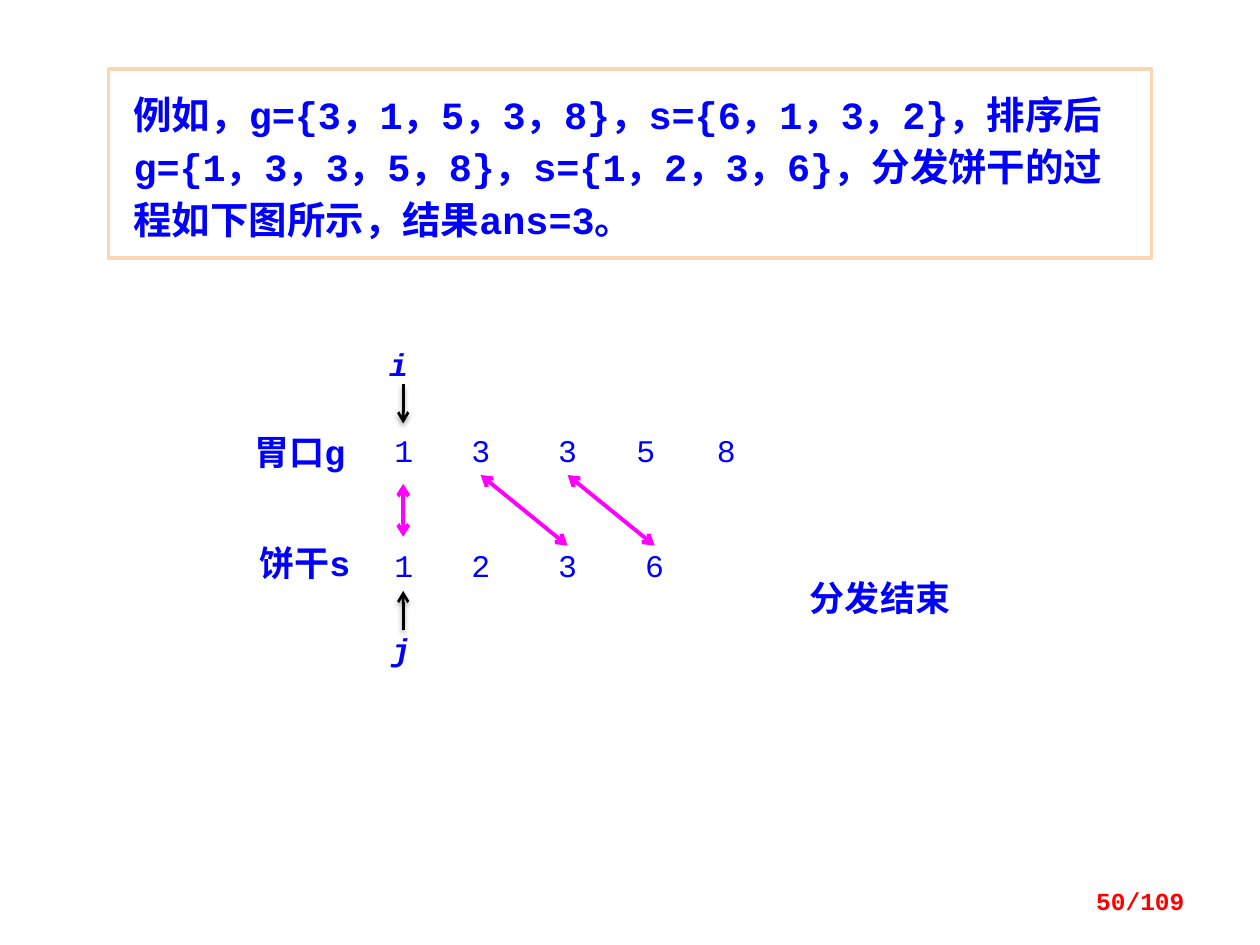
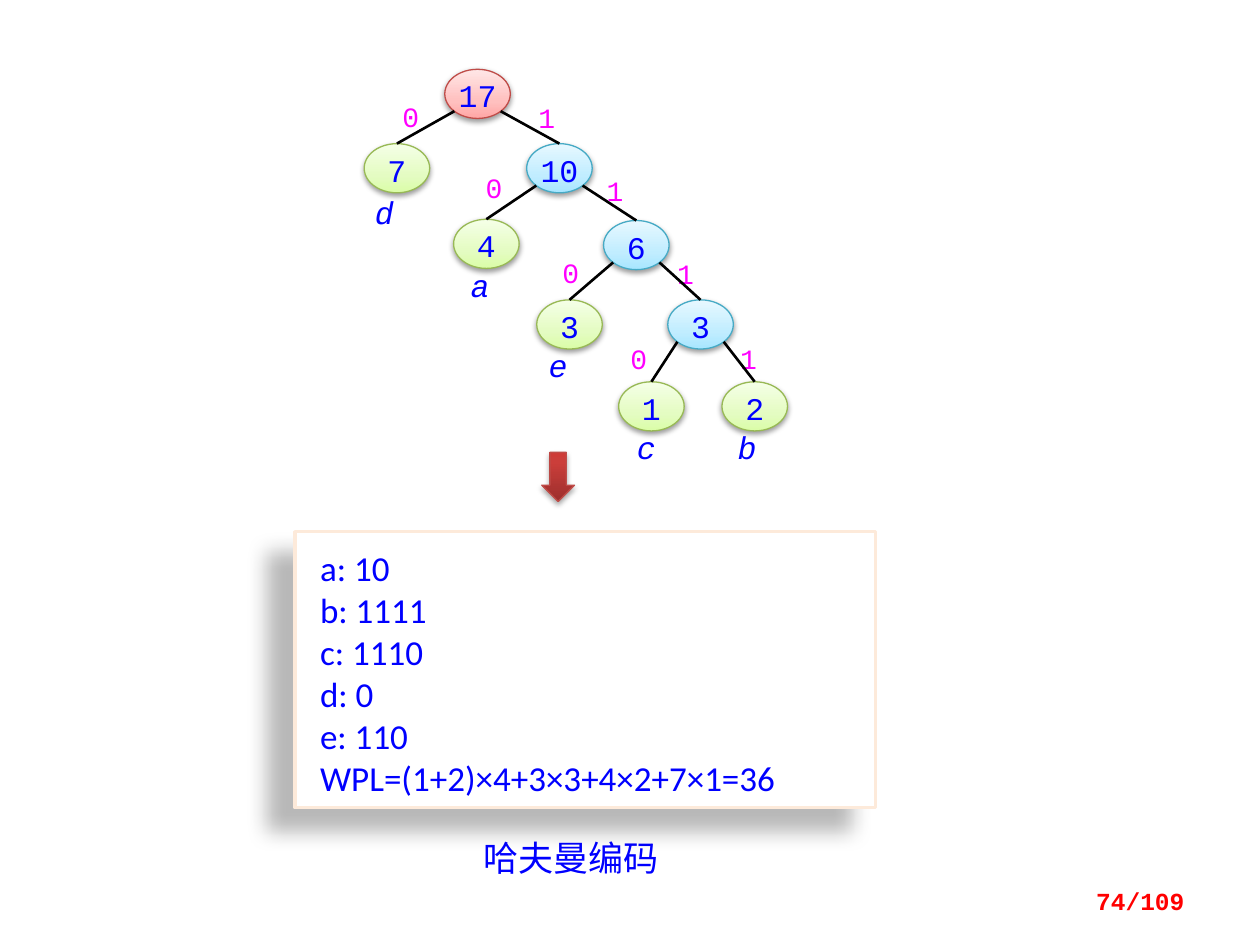
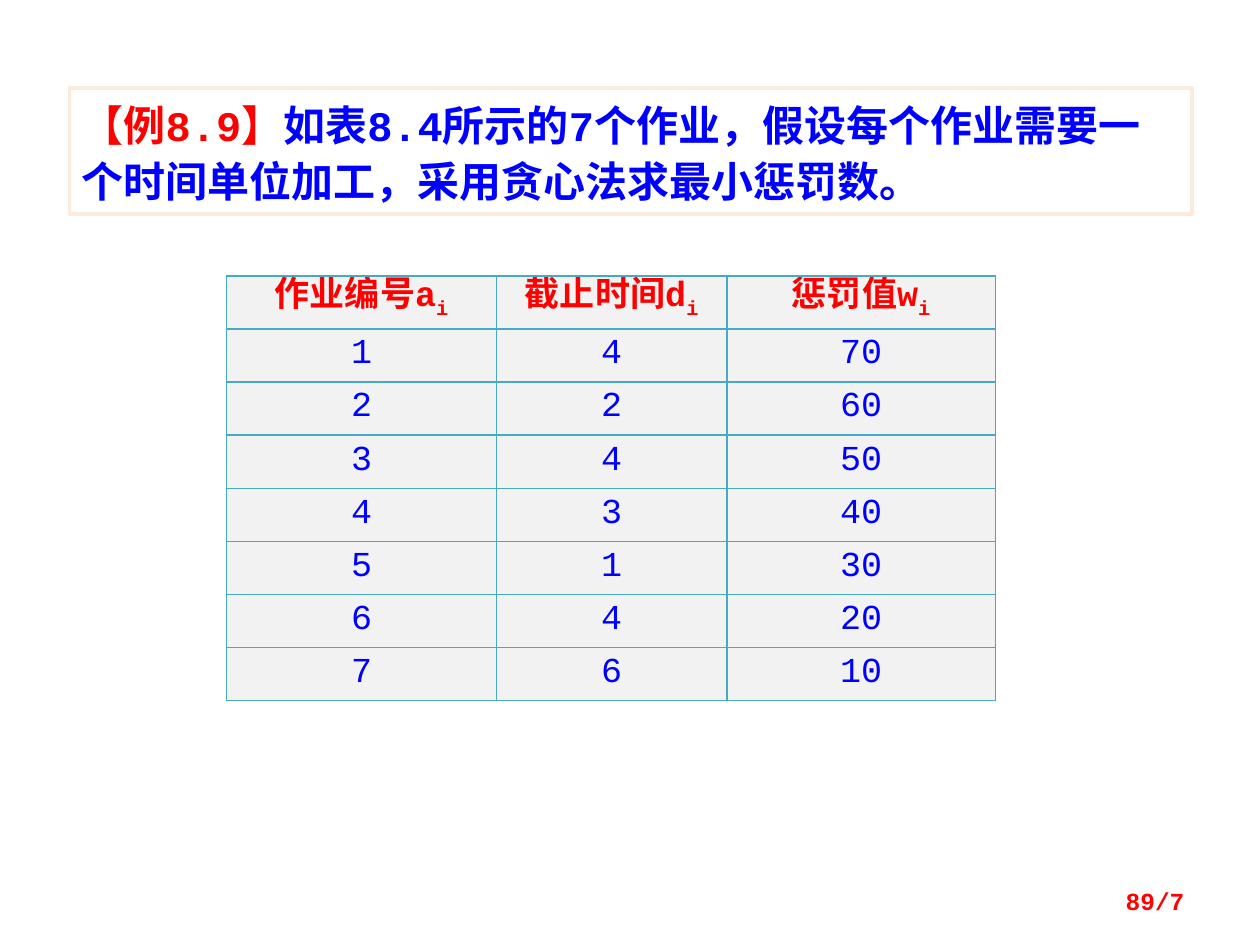
from dataclasses import dataclass
from math import sqrt
from typing import NamedTuple

from lxml.etree import SubElement
from pptx import Presentation
from pptx.dml.color import RGBColor
from pptx.enum.shapes import MSO_CONNECTOR, MSO_SHAPE
from pptx.enum.text import MSO_ANCHOR, PP_ALIGN
from pptx.oxml.ns import qn
from pptx.util import Inches, Pt


@dataclass(frozen=True)
class Theme:
    blue: str = "0000FF"
    red: str = "FF0000"
    magenta: str = "FF00FF"
    black: str = "000000"
    white: str = "FFFFFF"
    peach: str = "FCD5B5"
    pale_peach: str = "FDEADA"
    grid: str = "46AAC5"
    cell: str = "F2F2F2"
    mono: str = "Courier New"
    cjk: str = "Noto Sans CJK SC"
    sans: str = "Calibri"
    serif: str = "Times New Roman"
    footer_size: int = 14
    bit_size: int = 16
    value_size: int = 18
    body_size: int = 20
    example_size: int = 22
    problem_size: int = 24


class Tint(NamedTuple):
    stops: tuple
    line: str


class Node(NamedTuple):
    at: tuple
    weight: str
    tint: Tint
    parent: str = ""
    bit: str = ""
    bit_at: tuple = ()
    symbol_at: tuple = ()


THEME = Theme()
VALUE = {"size": THEME.value_size, "name": THEME.mono, "color": THEME.blue, "bold": False}
POINTER = VALUE | {"bold": True, "italic": True}
SYMBOL = VALUE | {"italic": True}
BIT = VALUE | {"size": THEME.bit_size, "color": THEME.magenta}
ROW_NAME = VALUE | {"size": THEME.body_size, "bold": True}
EXAMPLE = ROW_NAME | {"size": THEME.example_size}
PROBLEM = ROW_NAME | {"size": THEME.problem_size}
CELL = VALUE | {"size": THEME.body_size}
FOOTER = VALUE | {"size": THEME.footer_size, "color": THEME.red, "bold": True}

LEAF = Tint(((0, "DAFDA7"), (35, "E4FCC2"), (100, "F5FFE7")), "98B955")
INNER = Tint(((0, "A7E6FF"), (35, "C1EDFF"), (100, "E7F8FF")), "46AAC5")
ROOT = Tint(((0, "FFA6A5"), (35, "FFC0BF"), (100, "FFE7E7")), "BF4C48")
STEP = Tint(((0, "9C2F2D"), (80, "CB3E3A"), (100, "CE3B37")), "BF4C48")

SOFT_SHADOW = (38, 3.1, 1.6, 90)
STEP_SHADOW = (35, 3.1, 1.8, 90)
PANEL_SHADOW = (28, 11.8, 19.7, 141)
NODE_SIZE = (0.52, 0.39)

HUFFMAN = {
    "root": Node((3.53, 0.55), "17", ROOT),
    "d": Node((2.89, 1.14), "7", LEAF, "root", "0", (3.15, 0.79), (2.95, 1.53)),
    "ten": Node((4.18, 1.14), "10", INNER, "root", "1", (4.23, 0.8)),
    "a": Node((3.6, 1.74), "4", LEAF, "ten", "0", (3.81, 1.35), (3.71, 2.11)),
    "six": Node((4.79, 1.75), "6", INNER, "ten", "1", (4.77, 1.38)),
    "e": Node((4.26, 2.38), "3", LEAF, "six", "0", (4.42, 2.03), (4.33, 2.75)),
    "three": Node((5.3, 2.38), "3", INNER, "six", "1", (5.33, 2.04)),
    "c": Node((4.91, 3.03), "1", LEAF, "three", "0", (4.96, 2.71), (5.03, 3.4)),
    "b": Node((5.73, 3.03), "2", LEAF, "three", "1", (5.83, 2.71), (5.83, 3.4)),
}

JOBS = [(1, 4, 70), (2, 2, 60), (3, 4, 50), (4, 3, 40), (5, 1, 30), (6, 4, 20), (7, 6, 10)]


def apply(target, values):
    for name, value in values.items():
        setattr(target, name, value)


def write(frame, paragraphs, style, insets=(0.1, 0.05, 0.1, 0.05),
          align=PP_ALIGN.LEFT, spacing=None, anchor=MSO_ANCHOR.TOP):
    sides = ("margin_left", "margin_top", "margin_right", "margin_bottom")
    apply(frame, dict(zip(sides, map(Inches, insets))))
    apply(frame, {"word_wrap": True, "vertical_anchor": anchor})
    for index, runs in enumerate(paragraphs):
        paragraph = frame.add_paragraph() if index else frame.paragraphs[0]
        paragraph.alignment = align
        if spacing:
            paragraph.line_spacing = Pt(spacing)
        for text, changes in runs:
            add_run(paragraph, text, style | changes)


def add_run(paragraph, text, style):
    run = paragraph.add_run()
    run.text = text
    values = dict(style)
    run.font.color.rgb = RGBColor.from_string(values.pop("color"))
    baseline = values.pop("baseline", 0)
    values["size"] = Pt(values["size"])
    apply(run.font, values)
    properties = run.font._element
    SubElement(properties, qn("a:ea"), typeface=THEME.cjk)
    if baseline:
        properties.set("baseline", str(baseline * 1000))


def plain(text):
    return [[(text, {})]]


def add_effects(shape, shadow=None):
    properties = shape._element.spPr
    effects = SubElement(properties, qn("a:effectLst"))
    if shadow:
        alpha, blur, distance, angle = shadow
        outer = SubElement(effects, qn("a:outerShdw"), blurRad=str(Pt(blur)),
                           dist=str(Pt(distance)), dir=str(angle * 60000), rotWithShape="0")
        color = SubElement(outer, qn("a:srgbClr"), val=THEME.black)
        SubElement(color, qn("a:alpha"), val=str(alpha * 1000))


def add_box(slide, at, line=None, shadow=None):
    box = slide.shapes.add_shape(MSO_SHAPE.RECTANGLE, *map(Inches, at))
    box.fill.solid()
    box.fill.fore_color.rgb = RGBColor.from_string(THEME.white)
    if line:
        box.line.color.rgb = RGBColor.from_string(line)
        box.line.width = Pt(2)
    else:
        box.line.fill.background()
    add_effects(box, shadow)
    return box


def add_label(slide, at, text, style, insets=(0, 0, 0, 0)):
    label = add_box(slide, at)
    write(label.text_frame, plain(text), style, insets, PP_ALIGN.CENTER)
    return label


def add_text(slide, at, text, style, **layout):
    box = slide.shapes.add_textbox(*map(Inches, at))
    write(box.text_frame, plain(text), style, **layout)


def add_tinted(slide, preset, at, tint, shadow):
    shape = slide.shapes.add_shape(preset, *map(Inches, at))
    shape.fill.gradient()
    shape.fill.gradient_angle = 90
    stops = shape._element.spPr.find(qn("a:gradFill")).find(qn("a:gsLst"))
    for stop in list(stops):
        stops.remove(stop)
    for position, color in tint.stops:
        stop = SubElement(stops, qn("a:gs"), pos=str(position * 1000))
        SubElement(stop, qn("a:srgbClr"), val=color)
    shape.line.color.rgb = RGBColor.from_string(tint.line)
    shape.line.width = Pt(0.75)
    add_effects(shape, shadow)
    return shape


def add_line(slide, start, end, color=THEME.black, width=1.5, arrows=(), shadow=None):
    line = slide.shapes.add_connector(MSO_CONNECTOR.STRAIGHT, *map(Inches, start + end))
    line.line.color.rgb = RGBColor.from_string(color)
    line.line.width = Pt(width)
    for arrow in arrows:
        SubElement(line.line._get_or_add_ln(), qn(f"a:{arrow}"), type="arrow")
    add_effects(line, shadow)
    return line


def add_match(slide, start, end):
    return add_line(slide, start, end, THEME.magenta, 2.25, ("headEnd", "tailEnd"))


def add_pointer(slide, name, at, start, end):
    add_text(slide, at + (0.39, 0.4), name, POINTER)
    add_line(slide, start, end, arrows=("tailEnd",), shadow=SOFT_SHADOW)


def add_footer(slide, page):
    add_text(slide, (7.17, 6.95, 2.33, 0.4), page, FOOTER,
             align=PP_ALIGN.RIGHT, anchor=MSO_ANCHOR.MIDDLE)


def add_values(slide, top, values):
    return [add_label(slide, (left, top, 0.45, 0.35), text, VALUE) for left, text in values]


def add_tree(slide, tree):
    width, height = NODE_SIZE
    for symbol, node in tree.items():
        if node.bit:
            add_label(slide, node.bit_at + (0.35, 0.26), node.bit, BIT, (0, 0, 0.13, 0))
        if node.symbol_at:
            add_label(slide, node.symbol_at + (0.35, 0.26), symbol, SYMBOL, (0, 0, 0.15, 0))
    ovals = {}
    for key, node in tree.items():
        ovals[key] = add_tinted(slide, MSO_SHAPE.OVAL, node.at + NODE_SIZE, node.tint, SOFT_SHADOW)
        write(ovals[key].text_frame, plain(node.weight), VALUE, (0, 0, 0, 0), PP_ALIGN.CENTER)
    for key, node in tree.items():
        if node.parent:
            left, top = tree[node.parent].at
            side = -1 if node.bit == "0" else 1
            start = (left + width / 2 * (1 + side / sqrt(2)), top + height / 2 * (1 + 1 / sqrt(2)))
            edge = add_line(slide, start, node.at)
            edge.end_connect(ovals[key], 0)


def fill_cell(cell, runs, style):
    write(cell.text_frame, [runs], style, align=PP_ALIGN.CENTER, spacing=26)
    apply(cell, {"margin_left": Inches(0.07), "margin_right": Inches(0.07),
                 "margin_top": 0, "margin_bottom": 0})
    properties = cell._tc.get_or_add_tcPr()
    for side in ("lnL", "lnR", "lnT", "lnB"):
        border = SubElement(properties, qn(f"a:{side}"), w=str(Pt(0.75)))
        SubElement(SubElement(border, qn("a:solidFill")), qn("a:srgbClr"), val=THEME.grid)
    cell.fill.solid()
    cell.fill.fore_color.rgb = RGBColor.from_string(THEME.cell)


def add_job_table(slide, headings, jobs):
    frame = slide.shapes.add_table(len(jobs) + 1, len(headings),
                                   *map(Inches, (1.8, 2.19, 6.1, 3.37)))
    table = frame.table
    apply(table, {"first_row": False, "horz_banding": False})
    for column, width in zip(table.columns, (2.14, 1.83, 2.13)):
        column.width = Inches(width)
    for row in table.rows:
        row.height = Inches(3.37 / (len(jobs) + 1))
    for column, (heading, variable) in enumerate(headings):
        runs = [(heading + variable, {}), ("i", {"baseline": -25})]
        fill_cell(table.cell(0, column), runs, CELL | {"bold": True, "color": THEME.red})
    for row, job in enumerate(jobs, 1):
        for column, value in enumerate(job):
            fill_cell(table.cell(row, column), [(str(value), {})], CELL)


def build_cookies(slide):
    example = add_box(slide, (0.86, 0.55, 8.28, 1.5), THEME.peach)
    write(example.text_frame,
          plain("例如，g={3，1，5，3，8}，s={6，1，3，2}，排序后g={1，3，3，5，8}，"
                "s={1，2，3，6}，分发饼干的过程如下图所示，结果ans=3。"),
          EXAMPLE, (0.2, 0.12, 0.1, 0.12), spacing=30)
    add_label(slide, (1.95, 4.3, 0.94, 0.35), "饼干s", ROW_NAME)
    add_label(slide, (1.95, 3.42, 0.86, 0.35), "胃口g", ROW_NAME)
    appetites = add_values(slide, 3.42, zip((2.98, 3.59, 4.28, 4.9, 5.54), "13358"))
    cookies = add_values(slide, 4.33, zip((2.98, 3.59, 4.28, 4.97), "1236"))
    add_match(slide, (3.2, 3.84), (3.2, 4.26))
    for appetite, cookie in zip(appetites[1:3], cookies[2:]):
        match = add_match(slide, (0, 0), (1, 1))
        match.begin_connect(appetite, 2)
        match.end_connect(cookie, 0)
    add_pointer(slide, "i", (2.99, 2.69), (3.2, 3.05), (3.2, 3.36))
    add_pointer(slide, "j", (3.01, 4.95), (3.2, 5), (3.2, 4.69))
    add_text(slide, (6.33, 4.53, 1.41, 0.44), "分发结束", ROW_NAME | {"name": THEME.cjk})


def build_huffman(slide):
    add_label(slide, (3.67, 6.64, 1.72, 0.31), "哈夫曼编码", CELL | {"name": THEME.serif})
    codes = add_box(slide, (2.34, 4.22, 4.61, 2.19), THEME.pale_peach, PANEL_SHADOW)
    lines = ("a: 10", "b: 1111", "c: 1110", "d: 0", "e: 110", "WPL=(1+2)×4+3×3+4×2+7×1=36")
    write(codes.text_frame, [[(line, {})] for line in lines],
          CELL | {"name": THEME.sans}, (0.2, 0.12, 0.08, 0.12))
    add_tree(slide, HUFFMAN)
    add_tinted(slide, MSO_SHAPE.DOWN_ARROW, (4.3, 3.59, 0.26, 0.39), STEP, STEP_SHADOW)


def build_jobs(slide):
    problem = add_box(slide, (0.55, 0.7, 8.91, 1), THEME.pale_peach)
    write(problem.text_frame,
          [[("【例8.9】", {"color": THEME.red}),
            ("如表8.4所示的7个作业，假设每个作业需要一个时间单位加工，采用贪心法求最小惩罚数。", {})]],
          PROBLEM, spacing=32)
    add_job_table(slide, [("作业编号", "a"), ("截止时间", "d"), ("惩罚值", "w")], JOBS)


def main():
    deck = Presentation()
    apply(deck, {"slide_width": Inches(10), "slide_height": Inches(7.5)})
    for build, page in ((build_cookies, "50/109"), (build_huffman, "74/109"), (build_jobs, "89/7")):
        slide = deck.slides.add_slide(deck.slide_layouts[6])
        build(slide)
        add_footer(slide, page)
    deck.save("out.pptx")


if __name__ == "__main__":
    main()
